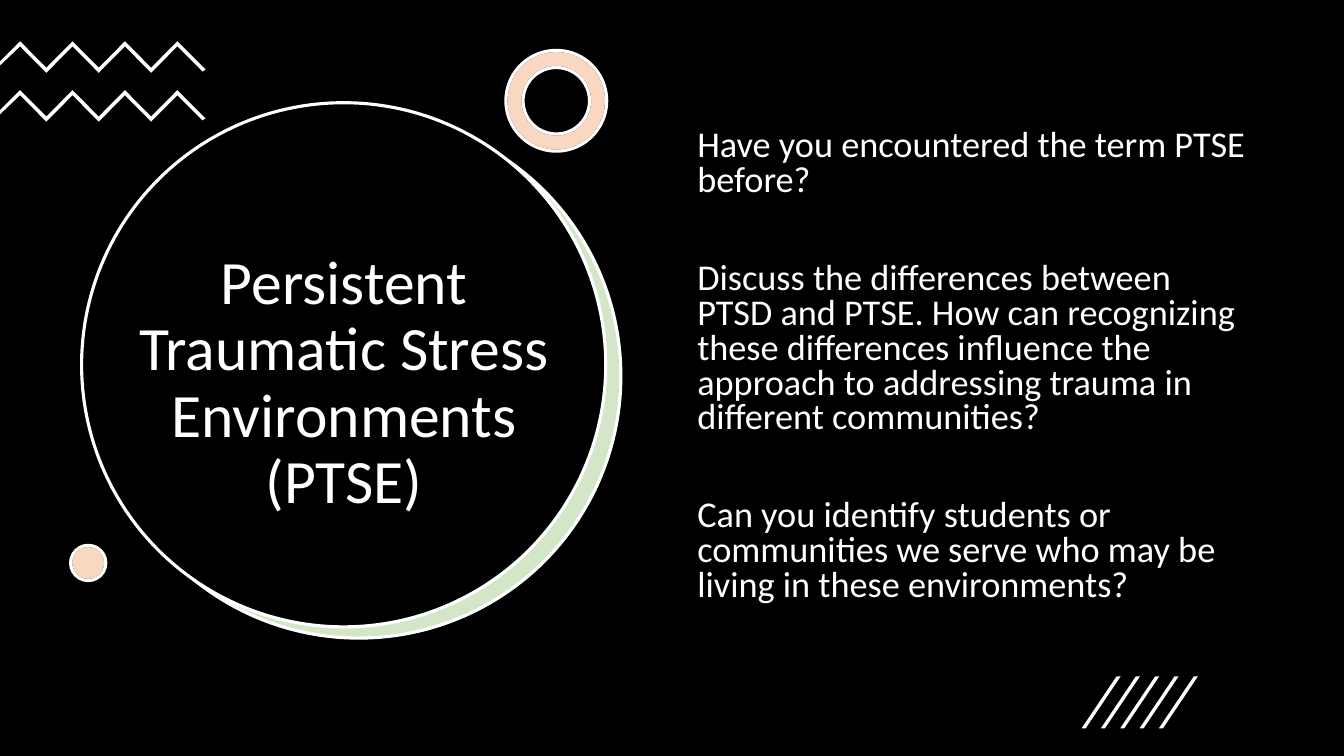
from lxml import etree
from pptx import Presentation
from pptx.dml.color import RGBColor
from pptx.enum import shapes, text
from pptx.oxml.ns import qn
from pptx.util import Pt

COLORS = {"black": "000000", "white": "FFFFFF", "green": "70AD47", "orange": "ED7D31"}
FONT = "Calibri"
OUTLINE = 2.25

deck = Presentation()
deck.slide_width, deck.slide_height = Pt(960), Pt(540)
slide = deck.slides.add_slide(deck.slide_layouts[5])


def paint(shape, fill, line=None, opacity=None):
    """Set fill and outline; opacity is a percentage of the fill."""
    shape.shadow.inherit = False
    shape.fill.solid()
    shape.fill.fore_color.rgb = RGBColor.from_string(COLORS[fill])
    if opacity:
        color = shape.element.spPr.find(qn("a:solidFill"))[0]
        etree.SubElement(color, qn("a:alpha"), val=str(opacity * 1000))
    if line:
        shape.line.color.rgb = RGBColor.from_string(COLORS[line])
        shape.line.width = Pt(OUTLINE)
    else:
        shape.line.fill.background()


def add_polygon(points):
    corners = [(Pt(x), Pt(y)) for x, y in points]
    builder = slide.shapes.build_freeform(*corners[0])
    builder.add_line_segments(corners[1:], close=True)
    paint(builder.convert_to_shape(), "white")


# Backdrop and large title circle with its green crescent
backdrop = slide.shapes.add_shape(
    shapes.MSO_SHAPE.RECTANGLE, 0, 0, deck.slide_width, deck.slide_height)
paint(backdrop, "black")
for left, top, fill, line, opacity in [
    (69.8, 82, "white", None, None),
    (69.1, 81.4, "green", "white", 30),
    (58.3, 73.4, "black", "white", None),
]:
    disc = slide.shapes.add_shape(
        shapes.MSO_SHAPE.OVAL, Pt(left), Pt(top), Pt(374.4), Pt(374.4))
    paint(disc, fill, line, opacity)

# Title, brought in front of the circle
title = slide.shapes.title
title.element.getparent().append(title.element)
title.left, title.top, title.width, title.height = Pt(87.1), Pt(147.6), Pt(317.5), Pt(253.4)
title.text_frame.text = "Persistent Traumatic Stress Environments (PTSE)"
title.text_frame.word_wrap = True
title.text_frame.vertical_anchor = text.MSO_ANCHOR.MIDDLE
heading = title.text_frame.paragraphs[0]
heading.alignment = text.PP_ALIGN.CENTER
heading.line_spacing = 0.9
heading.font.name, heading.font.size = FONT, Pt(44)
heading.font.color.rgb = RGBColor.from_string(COLORS["white"])

# Zigzag bands
STEP, DEPTH, THICKNESS = 18.72, 18.9, 3.6
for top in (29.5, 64.4):
    ridge = [(14.4 + STEP * k, top + DEPTH * (k % 2)) for k in range(7)]
    underside = [(x, y + THICKNESS) for x, y in reversed(ridge)]
    tip = [(146.9, top + 20.2), (144.7, top + 21.6)]
    add_polygon(ridge + tip + underside + [(0, top + 17.3), (0, top + 14.4)])

# Orange ring and dot, each tinted over a white base
for kind, left, top, size in [
    (shapes.MSO_SHAPE.DONUT, 361.4, 36, 72),
    (shapes.MSO_SHAPE.OVAL, 50.4, 389.5, 25.2),
]:
    for fill, line, opacity in [("white", "black", None), ("orange", "white", 30)]:
        accent = slide.shapes.add_shape(kind, Pt(left), Pt(top), Pt(size), Pt(size))
        if kind == shapes.MSO_SHAPE.DONUT:
            accent.adjustments[0] = 0.17
        paint(accent, fill, line, opacity)

# Discussion questions
questions = [
    "Have you encountered the term PTSE before?",
    "Discuss the differences between PTSD and PTSE. How can recognizing these differences "
    "influence the approach to addressing trauma in different communities?",
    "Can you identify students or communities we serve who may be living in these environments?",
]
discussion = slide.shapes.add_textbox(Pt(491), Pt(89.3), Pt(411.1), Pt(374.4)).text_frame
discussion.word_wrap = True
for number, wording in enumerate(questions):
    question = discussion.add_paragraph() if number else discussion.paragraphs[0]
    question.text = wording
    question.line_spacing = 0.8
    question.space_before = Pt(45 if number else 0)
    question.font.name, question.font.size = FONT, Pt(25.9)
    question.font.color.rgb = RGBColor.from_string(COLORS["white"])

# Slanted strokes
for stroke in range(5):
    left, top, bottom = 772.6 + 13.8 * stroke, 483.1, 520.2
    add_polygon([(left + 2.9, bottom), (left, bottom), (left + 25, top), (left + 27.9, top)])

deck.save("out.pptx")
